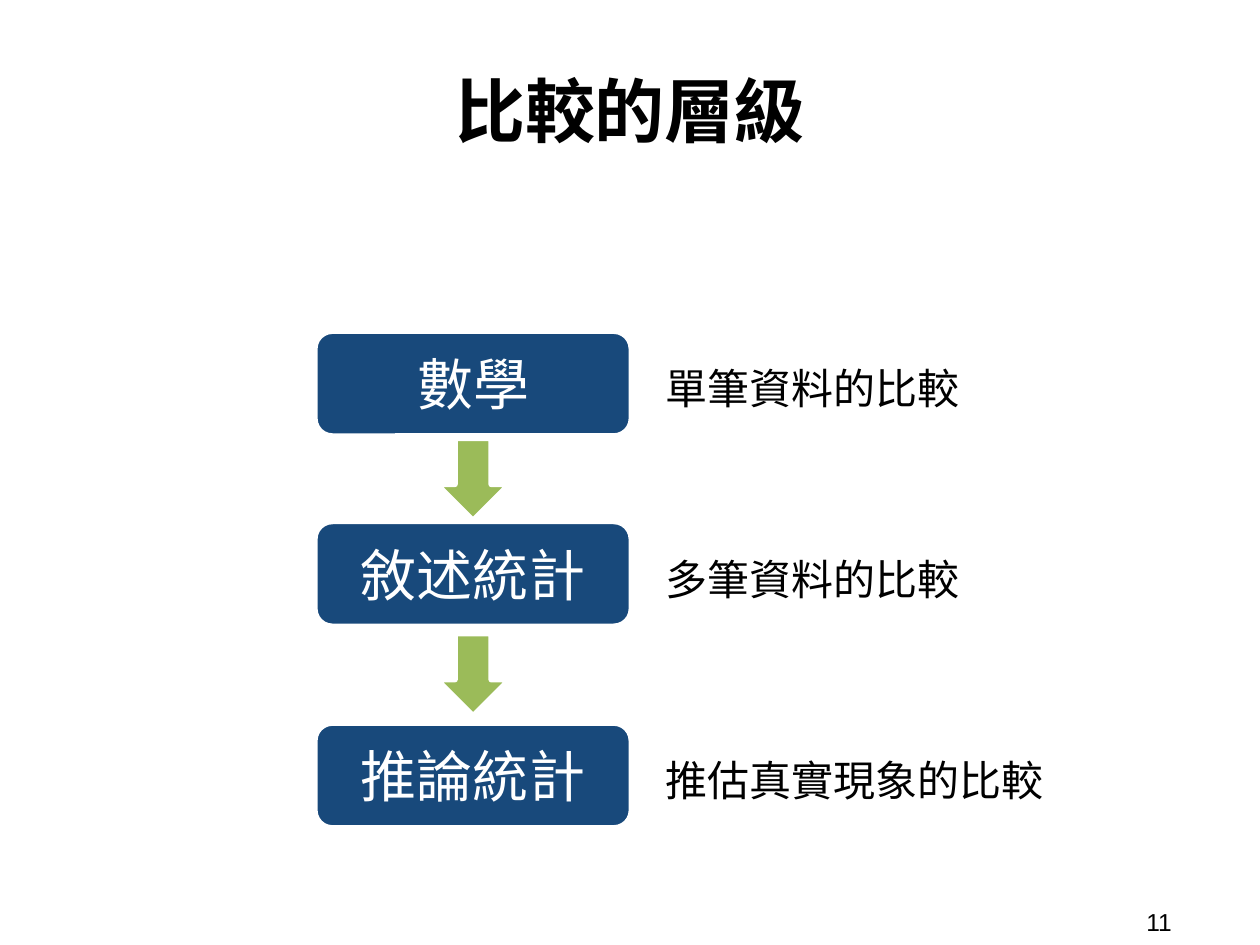
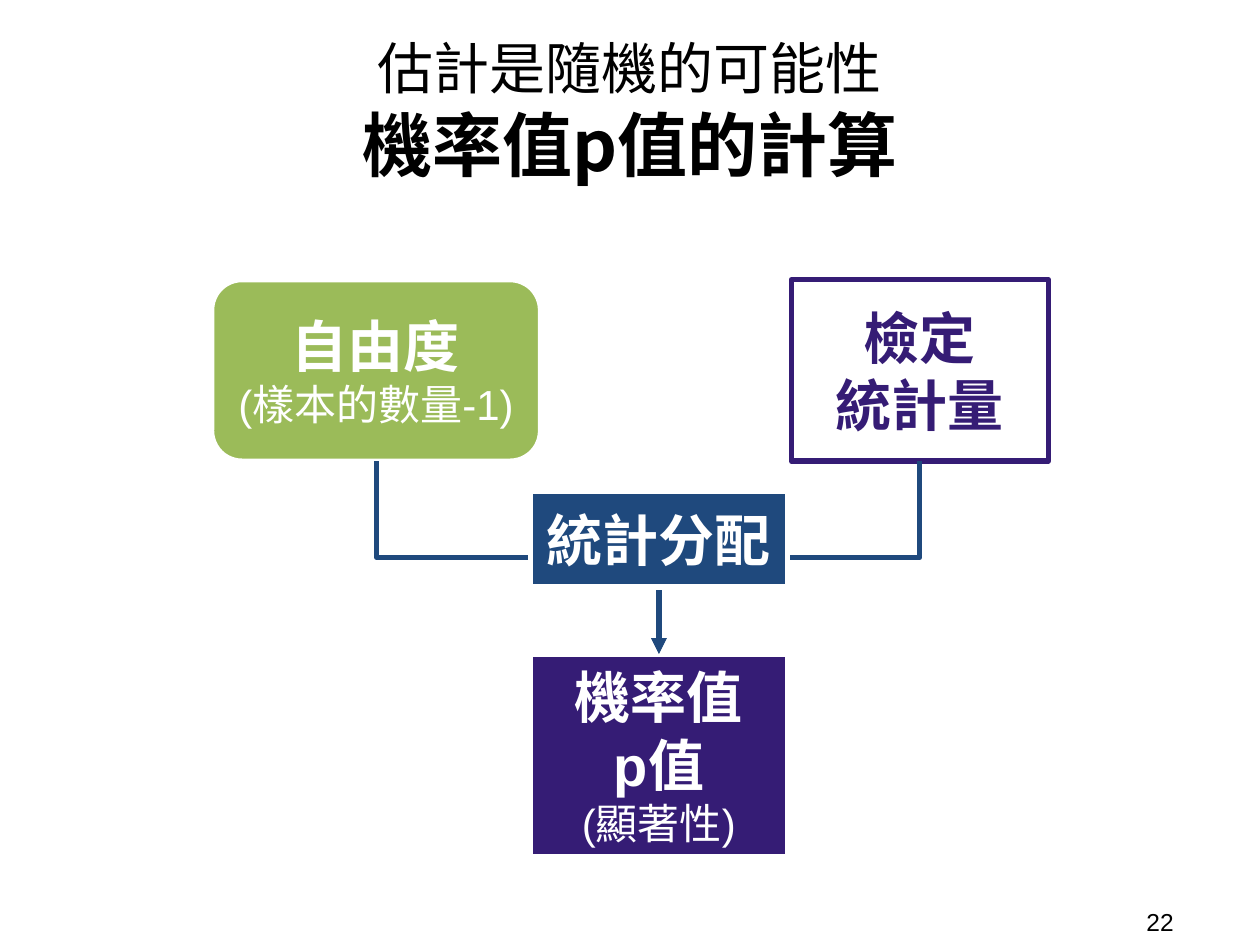
from dataclasses import dataclass
from math import copysign

from lxml.etree import SubElement
from pptx import Presentation
from pptx.dml.color import RGBColor as Rgb
from pptx.enum.shapes import MSO_CONNECTOR as Link, MSO_SHAPE as Shape
from pptx.enum.text import MSO_ANCHOR as Anchor, PP_ALIGN as Align
from pptx.oxml.ns import qn
from pptx.util import Inches, Pt


@dataclass(frozen=True)
class Theme:
    black: Rgb = Rgb(0, 0, 0)
    white: Rgb = Rgb(255, 255, 255)
    navy: Rgb = Rgb(0x18, 0x49, 0x7B)
    blue: Rgb = Rgb(0x1F, 0x49, 0x7D)
    green: Rgb = Rgb(0x9B, 0xBB, 0x59)
    purple: Rgb = Rgb(0x35, 0x1C, 0x75)
    title_font: str = "Noto Sans CJK TC"
    body_font: str = "Arial"
    title: int = 40
    heading: int = 32
    detail: int = 24
    page: int = 14
    stroke: int = 3


theme = Theme()
deck = Presentation()
deck.slide_width, deck.slide_height = Inches(10), Inches(7.5)
COL, ROW = deck.slide_width / 100, deck.slide_height / 75  # square grid cells


def put(slide, box, lines, color, kind=None, fill=None, stroke=theme.white,
        font=theme.body_font, align=Align.CENTER, spacing=None, pad=0.1):
    """Place a shape, or a text box if kind is None; lines are (text, size, bold)."""
    left, top, width, height = box
    frame = [int(n) for n in (left * COL, top * ROW, width * COL, height * ROW)]
    if kind is None:
        item = slide.shapes.add_textbox(*frame)
    else:
        item = slide.shapes.add_shape(kind, *frame)
        item.shadow.inherit = False
        item.fill.solid()
        item.fill.fore_color.rgb = fill
        item.line.color.rgb = stroke
        item.line.width = Pt(theme.stroke)
    text = item.text_frame
    text.word_wrap = True
    text.vertical_anchor = Anchor.MIDDLE
    text.margin_left = text.margin_right = Inches(0.1)
    text.margin_top = text.margin_bottom = Inches(pad)
    for i, (words, size, bold) in enumerate(lines):
        paragraph = text.add_paragraph() if i else text.paragraphs[0]
        paragraph.alignment = align
        if spacing:
            paragraph.line_spacing = spacing
        run = paragraph.add_run()
        run.text = words
        run.font.name, run.font.size, run.font.bold = font, Pt(size), bold
        run.font.color.rgb = color
        SubElement(run.font._element, qn("a:ea"), typeface=font)


def join(slide, start, end):
    """Draw an arrow that goes down, across and down again."""
    drop, span = end[1] - start[1], abs(end[0] - start[0])
    side = copysign(1, start[0] - end[0])
    x, y = (start[0] + end[0]) / 2, (start[1] + end[1]) / 2
    link = slide.shapes.add_connector(
        Link.ELBOW,
        int((x - side * drop / 2) * COL), int((y - span / 2) * ROW),
        int((x + side * drop / 2) * COL), int((y + span / 2) * ROW))
    link.line.color.rgb = theme.blue
    link.line.width = Pt(theme.stroke)
    properties = link._element.spPr
    properties.find(qn("a:xfrm")).set("rot", str(int(side * 90 % 360) * 60000))
    SubElement(properties.find(qn("a:ln")), qn("a:tailEnd"), type="triangle")
    SubElement(properties, qn("a:effectLst"))


# Title and page number of each slide
pages = [
    ("11", [("比較的層級", theme.title, True)]),
    ("22", [("估計是隨機的可能性", theme.heading, False),
            ("機率值p值的計算", theme.title, True)]),
]
slides = []
for number, title in pages:
    slide = deck.slides.add_slide(deck.slide_layouts[6])
    put(slide, (5.2, 1.9, 89.6, 13.6), title, theme.black, font=theme.title_font)
    put(slide, (90, 71.7, 9.2, 2.9), [(number, theme.page, False)],
        theme.black, align=Align.LEFT, pad=0.05)
    slides.append(slide)
levels_slide, p_value_slide = slides

# Levels of comparison
levels = [(26.3, "數學", "單筆資料的比較"),
          (41.4, "敘述統計", "多筆資料的比較"),
          (57.4, "推論統計", "推估真實現象的比較")]
for top, level, meaning in levels:
    put(levels_slide, (25, top, 25.1, 8.3), [(level, theme.heading, False)],
        theme.white, Shape.ROUNDED_RECTANGLE, theme.navy)
    put(levels_slide, (51.8, top + 2, 33.8, 4.4), [(meaning, theme.detail, False)],
        theme.black, align=Align.LEFT, spacing=1.15)
for top in (34.8, 50.3):
    put(levels_slide, (34.7, top, 5.7, 6.5), [], theme.white,
        Shape.DOWN_ARROW, theme.green)

# From degrees of freedom and test statistic to the p value
center, sources_bottom, p_top = 52.3, 36.6, 51.9
put(p_value_slide, (62.8, 22.2, 20.4, 14.4),
    [("檢定", theme.heading, True), ("統計量", theme.heading, True)],
    theme.purple, Shape.RECTANGLE, theme.white, theme.purple)
put(p_value_slide, (42.1, p_top, 20.4, 16.1),
    [("機率值", theme.heading, True), ("p值", theme.heading, True),
     ("(顯著性)", theme.detail, False)],
    theme.white, Shape.RECTANGLE, theme.purple)
put(p_value_slide, (16.8, 22.2, 26.1, 14.4),
    [("自由度", theme.heading, True), ("(樣本的數量-1)", theme.detail, False)],
    theme.white, Shape.ROUNDED_RECTANGLE, theme.green)
for source in (29.9, 73):
    join(p_value_slide, (source, sources_bottom), (center, p_top))
put(p_value_slide, (42.1, 39, 20.4, 7.6), [("統計分配", theme.heading, True)],
    theme.white, Shape.RECTANGLE, theme.blue)

deck.save("out.pptx")
